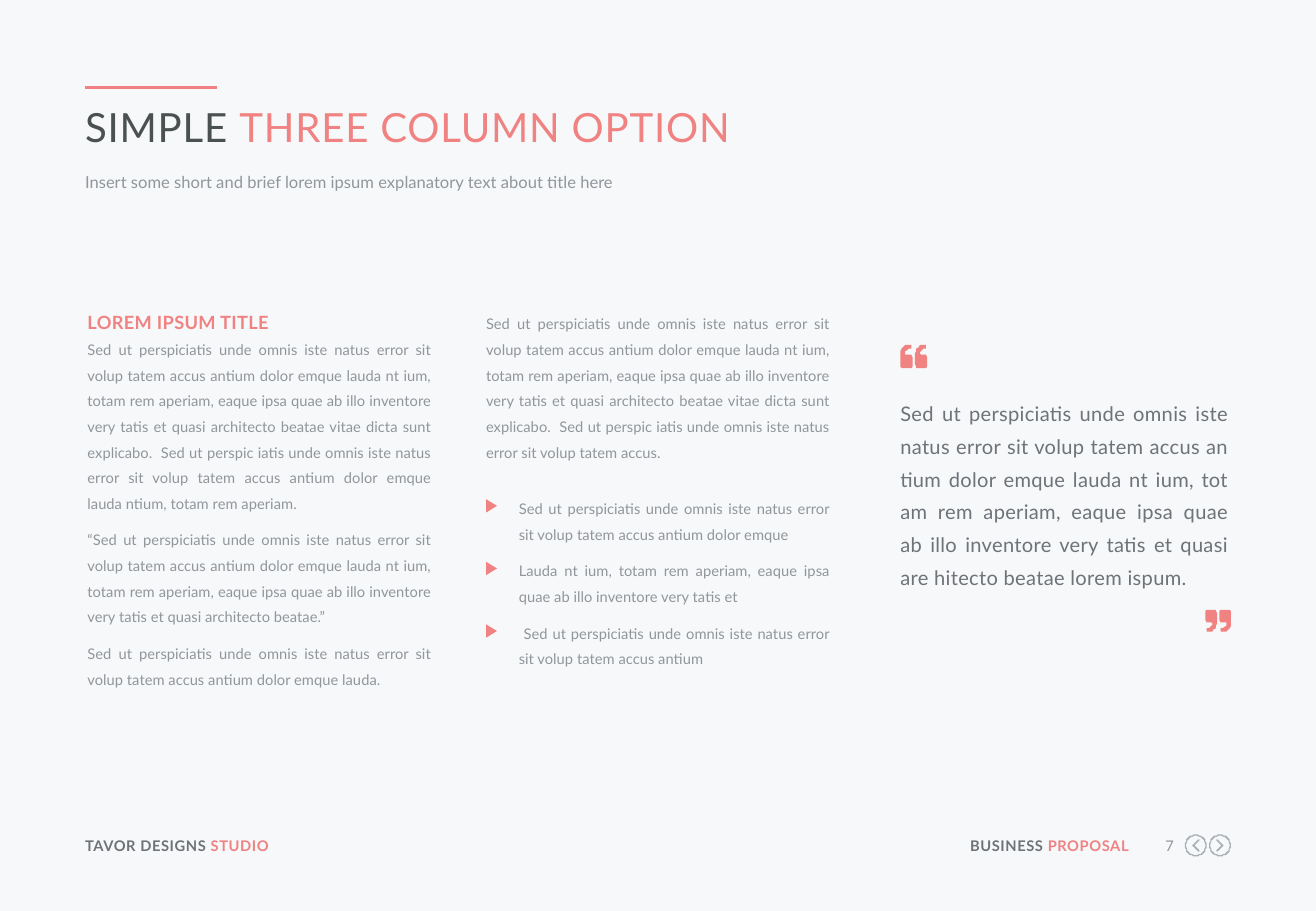
import math
from lxml import etree
from pptx import Presentation
from pptx.dml.color import RGBColor
from pptx.enum.dml import MSO_FILL
from pptx.enum.shapes import MSO_CONNECTOR, MSO_SHAPE
from pptx.enum.text import MSO_ANCHOR, MSO_AUTO_SIZE, PP_ALIGN
from pptx.oxml.ns import qn
from pptx.util import Inches, Pt

STRAIGHT, TRIANGLE = MSO_CONNECTOR.STRAIGHT, MSO_SHAPE.ISOSCELES_TRIANGLE
TOP, NO_FIT = MSO_ANCHOR.TOP, MSO_AUTO_SIZE.NONE
LEFT, RIGHT, JUSTIFY = PP_ALIGN.LEFT, PP_ALIGN.RIGHT, PP_ALIGN.JUSTIFY

COLORS = {"page": "F6F8FA", "accent": "F08282", "title": "4B5050",
          "dark": "6E7378", "grey": "91969B", "icon": "AAAFB4"}
MARGIN = 0.7
COLUMNS = [0.72, 4.0, 7.41]
COLUMN_W = 2.83
BODY_TOP, FOOTER_TOP = 2.53, 6.89
BULLET_TOP, BULLET_STEP = 4.12, 0.515

# Each style: font values, then letter spacing in points
STYLES = {
    "title": ({"size": Pt(23.8), "bold": False}, 0.5),
    "subtitle": ({"size": Pt(9.8), "bold": False}, 0),
    "heading": ({"size": Pt(10.8), "bold": True}, 0.2),
    "body": ({"size": Pt(8.7), "bold": False}, 0),
    "quote": ({"size": Pt(11.9), "bold": False}, 0.2),
    "footer": ({"size": Pt(8.7), "bold": True}, 0.3),
    "number": ({"size": Pt(8.7), "bold": False}, 0.3),
}

LOREM = "Sed ut perspiciatis unde omnis iste natus error sit volup tatem accus"
EMQUE = LOREM + " antium dolor emque lauda"
ARCHITECTO = (EMQUE + " nt ium, totam rem aperiam, eaque ipsa quae ab illo "
              "inventore very tatis et quasi architecto beatae")
DICTA = (ARCHITECTO + " vitae dicta sunt explicabo.  Sed ut perspic iatis unde "
         "omnis iste natus error sit volup tatem accus")
QUOTE = (LOREM + " an tium dolor emque lauda nt ium, tot am rem aperiam, eaque "
         "ipsa quae ab illo inventore very tatis et quasi are hitecto beatae "
         "lorem ispum.")


def write(sp, box, paragraphs, align=LEFT, line=None, after=0):
    """Place sp at box and fill it; a paragraph is a list of (text, style, colour)."""
    sp.left, sp.top, sp.width, sp.height = map(Inches, box)
    tf = sp.text_frame
    frame = {"margin_left": 0, "margin_top": 0, "margin_right": 0, "margin_bottom": 0,
             "word_wrap": True, "auto_size": NO_FIT, "vertical_anchor": TOP}
    for name, value in frame.items():
        setattr(tf, name, value)
    for i, runs in enumerate(paragraphs):
        p = tf.add_paragraph() if i else tf.paragraphs[0]
        p.alignment, p.space_before = align, Pt(0)
        p.space_after = Pt(0 if runs[0][1] == "heading" else after)
        if line:
            p.line_spacing = Pt(line)
        for text, style, color in runs:
            r = p.add_run()
            r.text = text
            values, spacing = STYLES[style]
            for name, value in values.items():
                setattr(r.font, name, value)
            r.font.name = "Lato"
            r.font.color.rgb = RGBColor.from_string(COLORS[color])
            r._r.get_or_add_rPr().set("spc", str(round(spacing * 100)))


def draw_icon(contours, box, color, rotation=0):
    """Draw closed contours as one filled outline, fitted to box."""
    fb = s.shapes.build_freeform(*contours[0][0], scale=Inches(0.01))
    for i, points in enumerate(contours):
        if i:
            fb.move_to(*points[0])
        fb.add_line_segments(points[1:], close=True)
    sp = fb.convert_to_shape()
    sp.left, sp.top, sp.width, sp.height = map(Inches, box)
    sp.rotation = rotation
    sp.shadow.inherit = False
    sp.fill.solid()
    sp.fill.fore_color.rgb = RGBColor.from_string(COLORS[color])
    sp.line.fill.background()


prs = Presentation()
prs.slide_width, prs.slide_height = Inches(10.83), Inches(7.5)
s = prs.slides.add_slide(prs.slide_layouts[2])
s.background.fill.solid()
s.background.fill.fore_color.rgb = RGBColor.from_string(COLORS["page"])

# Header
rule = s.shapes.add_connector(STRAIGHT, Inches(MARGIN), Inches(0.72), Inches(1.79), Inches(0.72))
rule.line.width = Pt(2.25)
rule.line.color.rgb = RGBColor.from_string(COLORS["accent"])
etree.SubElement(rule._element.spPr, qn("a:effectLst"))
write(s.shapes.title, (MARGIN, 0.84, 9.42, 0.41),
      [[("SIMPLE ", "title", "title"), ("THREE COLUMN OPTION", "title", "accent")]])
write(s.placeholders[1], (MARGIN, 1.4, 9.42, 0.21),
      [[("Insert some short and brief lorem ipsum explanatory text about title here",
         "subtitle", "grey")]], line=13)

# Three columns: box, paragraphs, line spacing, space after
first, second, third = COLUMNS
columns = [
    ((first, BODY_TOP, COLUMN_W, 3.14),
     [[("LOREM IPSUM TITLE", "heading", "accent")],
      [(DICTA + " antium dolor emque lauda ntium, totam rem aperiam.", "body", "grey")],
      [("“" + ARCHITECTO + ".”", "body", "grey")],
      [(EMQUE + ".", "body", "grey")]], 15.2, 6.5),
    ((second, BODY_TOP, COLUMN_W, 1.26), [[(DICTA + ".", "body", "grey")]], 15.2, 13),
    ((second + 0.27, 4.05, COLUMN_W - 0.27, 1.46),
     [[(LOREM + " antium dolor emque", "body", "grey")],
      [("Lauda nt ium, totam rem aperiam, eaque ipsa quae ab illo inventore very tatis et",
        "body", "grey")],
      [(" " + LOREM + " antium", "body", "grey")]], 15.2, 6.5),
    ((third, 3.23, 2.7, 1.68), [[(QUOTE, "quote", "dark")]], 19.5, 13),
]
for box, paragraphs, line, after in columns:
    write(s.shapes.add_textbox(0, 0, 0, 0), box, paragraphs, JUSTIFY, line, after)

for i in range(3):
    sp = s.shapes.add_shape(TRIANGLE, Inches(second - 0.01), Inches(BULLET_TOP + i * BULLET_STEP),
                            Inches(0.11), Inches(0.09))
    sp.rotation = 90
    sp.shadow.inherit = False
    sp.fill.solid()
    sp.fill.fore_color.rgb = RGBColor.from_string(COLORS["accent"])
    sp.line.fill.background()

# Quotation marks
mark = [(10, 11), (10, 16.5), (9.7, 17.7), (9, 18.6), (8, 19), (2.3, 19), (1, 18.6),
        (0.3, 17.7), (0, 16.5), (0, 7), (0.3, 5), (1, 3.2), (2.3, 1.6), (4, 0.5),
        (5.5, 0.1), (7, 0), (8, 0), (8.8, 0.3), (9, 1), (9, 2.2), (8.7, 2.9), (8, 3.2),
        (7, 3.2), (5.5, 3.6), (4.4, 4.8), (4, 6.5), (4, 7.2), (4.4, 7.8), (5, 8),
        (7.7, 8), (9, 8.4), (9.7, 9.5)]
marks = [mark, [(x + 12.3, y) for x, y in mark]]
draw_icon(marks, (third, 2.84, 0.22, 0.19), "accent")
draw_icon(marks, (9.92, 5.02, 0.21, 0.18), "accent", 180)

# Footer
footers = [
    ((MARGIN, FOOTER_TOP, 2.11, 0.15), LEFT,
     [("TAVOR DESIGNS ", "footer", "dark"), ("STUDIO", "footer", "accent")]),
    ((7.92, FOOTER_TOP, 1.37, 0.15), RIGHT,
     [("BUSINESS ", "footer", "dark"), ("PROPOSAL", "footer", "accent")]),
    ((9.41, FOOTER_TOP, 0.25, 0.15), RIGHT, [("7", "number", "grey")]),
]
for box, align, runs in footers:
    write(s.shapes.add_textbox(0, 0, 0, 0), box, [runs], align)

# Navigation arrows: a ring around a chevron
angles = [math.radians(a) for a in range(0, 360, 10)]
outer = [(9 + 9 * math.cos(a), 9 + 9 * math.sin(a)) for a in angles]
inner = [(9 + 7.9 * math.cos(a), 9 - 7.9 * math.sin(a)) for a in angles]
chevron = [(6.3, 5), (10.2, 9), (6.3, 13), (6.3, 13.6), (7.4, 13.8),
           (11.8, 9.4), (11.8, 8.6), (7.4, 4.2), (6.3, 4.4)]
for x, rotation in [(9.75, 180), (9.95, 0)]:
    draw_icon([outer, inner, chevron], (x, 6.87, 0.18, 0.18), "icon", rotation)

prs.save("out.pptx")
